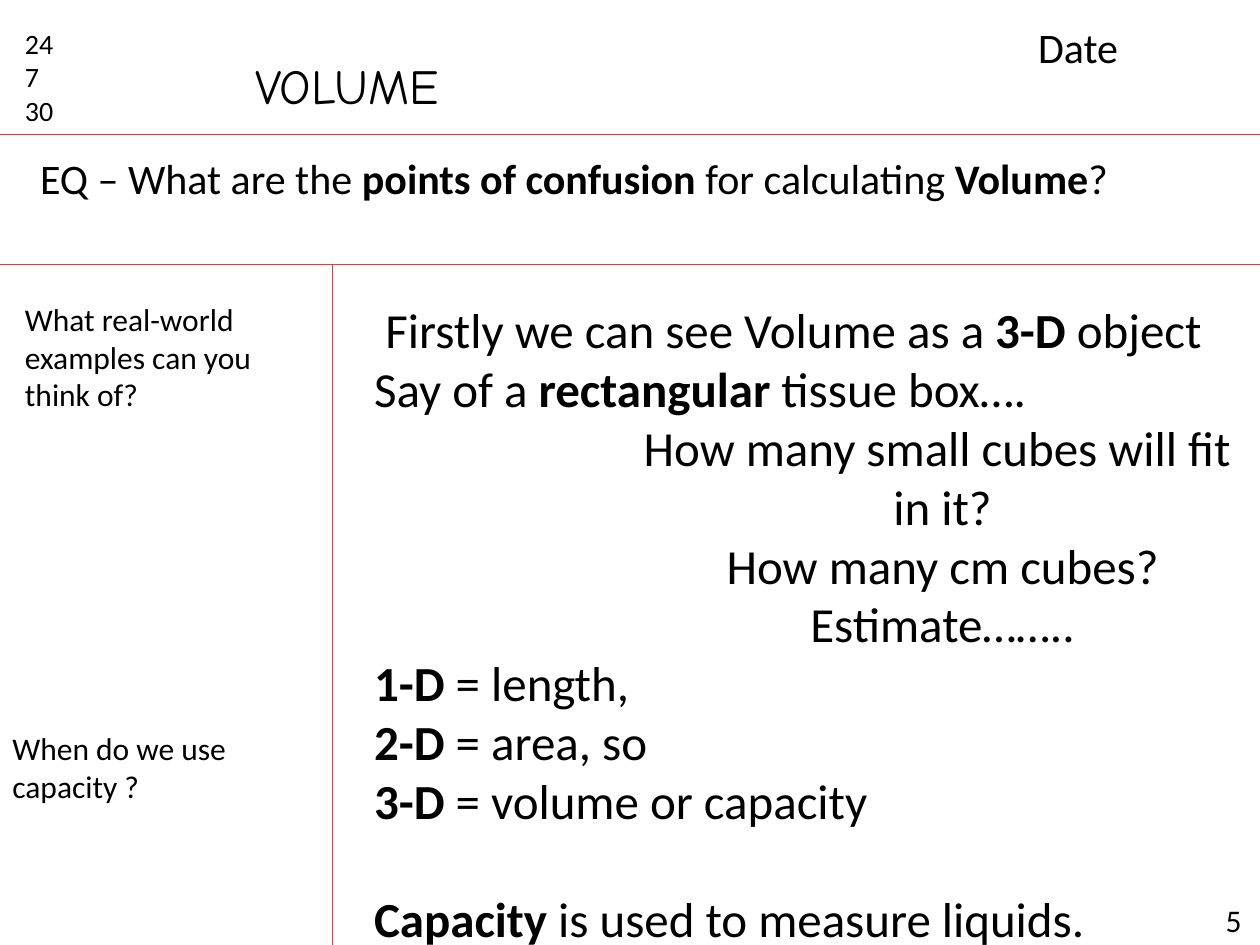
from lxml import etree
from pptx import Presentation
from pptx.dml.color import RGBColor
from pptx.enum.shapes import MSO_CONNECTOR
from pptx.enum.text import PP_ALIGN
from pptx.oxml.ns import qn
from pptx.util import Inches, Pt

STRAIGHT = MSO_CONNECTOR.STRAIGHT
LEFT = PP_ALIGN.LEFT
CENTER = PP_ALIGN.CENTER
BLANK_LAYOUT = 6


def color(hex_value):
    return RGBColor.from_string(hex_value)


class NotesPage:
    """Draws ruled lines and text boxes in one style on the current slide."""

    font_name = "Calibri"
    ink = "000000"
    rule = "BF4C48"

    def __init__(self, slide):
        self.slide = slide

    def line(self, x1, y1, x2, y2):
        connector = self.slide.shapes.add_connector(
            STRAIGHT, Inches(x1), Inches(y1), Inches(x2), Inches(y2))
        connector.line.color.rgb = color(self.rule)
        connector.line.width = Pt(0.75)
        etree.SubElement(connector._element.spPr, qn("a:effectLst"))

    def text(self, left, top, width, height, paragraphs, size, font_name=None):
        shape = self.slide.shapes.add_textbox(
            Inches(left), Inches(top), Inches(width), Inches(height))
        frame = shape.text_frame
        frame.word_wrap = True
        for index, (runs, options) in enumerate(paragraphs):
            paragraph = frame.paragraphs[0] if index == 0 else frame.add_paragraph()
            paragraph.alignment = options.get("align", LEFT)
            if "indent" in options:
                paragraph._p.get_or_add_pPr().set("indent", str(Inches(options["indent"])))
            if "before" in options:
                paragraph.space_before = Pt(options["before"])
            for words, bold in runs:
                run = paragraph.add_run()
                run.text = words
                run.font.name = font_name or self.font_name
                run.font.size = Pt(size)
                run.font.bold = bold
                run.font.color.rgb = color(self.ink)


def plain(words, **options):
    return [(words, False)], options


def mixed(*runs, **options):
    """Return a paragraph whose runs alternate, bold where marked with True."""
    return list(runs), options


def main():
    presentation = Presentation()
    presentation.slide_width = Inches(10)
    presentation.slide_height = Inches(7.5)
    slide = presentation.slides.add_slide(presentation.slide_layouts[BLANK_LAYOUT])
    page = NotesPage(slide)

    page.text(9.57, 7.1, 0.6, 0.4, [plain("5", indent=0.06)], 18)
    for y in (1.07, 2.1):
        page.line(0, y, 10, y)
    page.line(2.64, 2.1, 2.64, 7.69)

    page.text(0.1, 0.16, 0.63, 0.91, [plain(number) for number in ("24", "7", "30")], 16)
    page.text(8.14, 0.12, 1.73, 0.5, [plain("Date")], 24)
    page.text(1.93, 0.39, 3.44, 0.57, [plain("VOLUME")], 28, "Comic Neue")

    question = mixed(
        ("EQ – What are the ", False), ("points of confusion ", True),
        ("for calculating ", False), ("Volume", True), ("?", False))
    page.text(0.22, 1.16, 9.43, 0.5, [question], 24)

    prompts = ("How many small cubes will fit ", "in it?", "How many cm cubes?", "Estimate……..")
    dimensions = (("1-D", "length,"), ("2-D", "area, so"), ("3-D", "volume or capacity"))
    notes = [
        mixed(("Firstly we can see Volume as a ", False), ("3-D", True),
              (" object", False), indent=0.09),
        mixed(("Say of a ", False), ("rectangular ", True), ("tissue box….", False)),
        *[plain(prompt, align=CENTER) for prompt in prompts],
        *[mixed((name, True), (f" = {measure}", False)) for name, measure in dimensions],
        mixed(("Capacity", True), (" is used to measure liquids.", False), before=34),
    ]
    page.text(2.87, 2.33, 9.22, 5.76, notes, 28)

    page.text(0.1, 2.33, 2.06, 1.01, [plain("What real-world examples can you think of?")], 18)
    page.text(0, 5.74, 2.17, 0.71, [plain("When do we use capacity ?")], 18)

    presentation.save("out.pptx")


if __name__ == "__main__":
    main()
